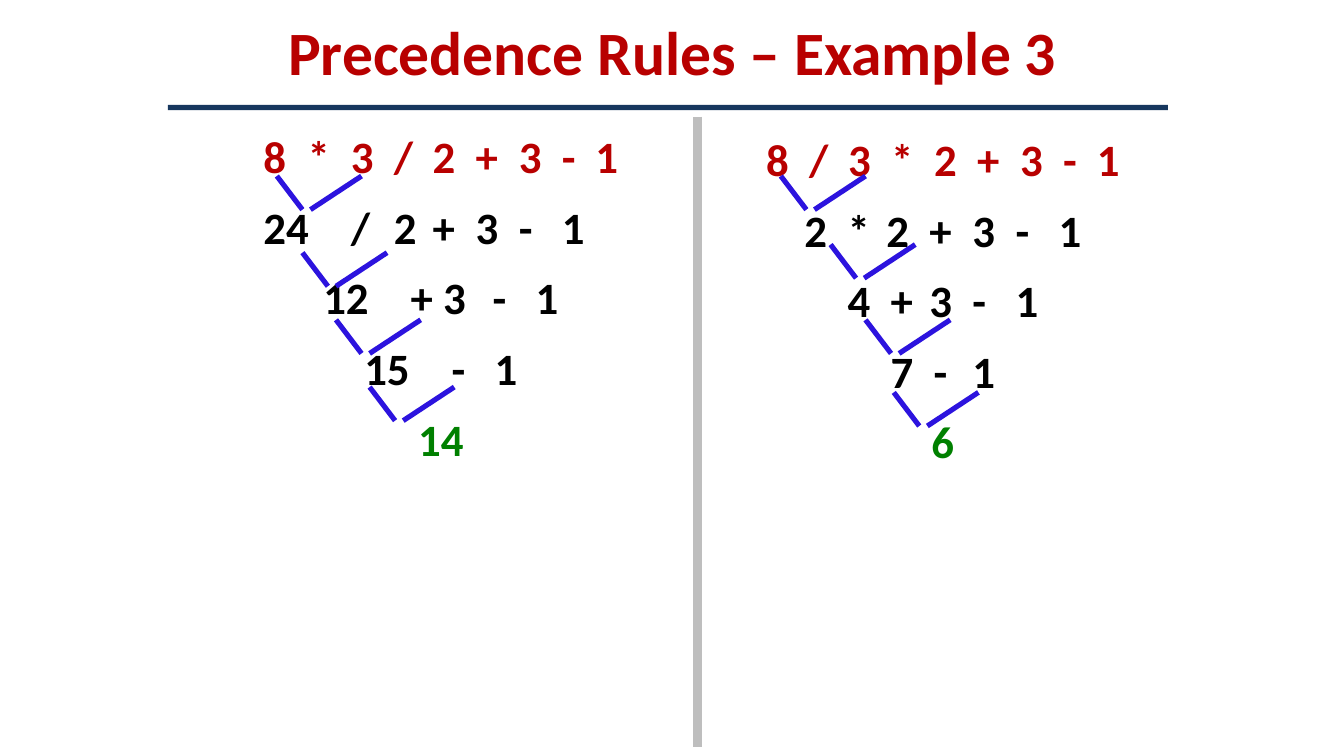
from dataclasses import dataclass

from lxml import etree
from pptx import Presentation
from pptx.dml.color import RGBColor
from pptx.enum.shapes import MSO_CONNECTOR, MSO_SHAPE
from pptx.enum.text import MSO_ANCHOR, MSO_AUTO_SIZE, PP_ALIGN
from pptx.oxml.ns import qn
from pptx.slide import Slide
from pptx.text.text import TextFrame
from pptx.util import Inches, Pt

STRAIGHT = MSO_CONNECTOR.STRAIGHT
RECTANGLE = MSO_SHAPE.RECTANGLE
TOP, MIDDLE = MSO_ANCHOR.TOP, MSO_ANCHOR.MIDDLE
FIT_SHAPE = MSO_AUTO_SIZE.SHAPE_TO_FIT_TEXT
LEFT, CENTER = PP_ALIGN.LEFT, PP_ALIGN.CENTER

RED = RGBColor(0xB8, 0x00, 0x00)
BLACK = RGBColor(0x00, 0x00, 0x00)
GREEN = RGBColor(0x00, 0x80, 0x00)
BLUE = RGBColor(0x2C, 0x13, 0xDE)
NAVY = RGBColor(0x17, 0x37, 0x5E)
GRAY = RGBColor(0xBE, 0xBE, 0xBE)
FONT = "Calibri"


@dataclass(frozen=True)
class Step:
    text: str
    color: RGBColor = BLACK
    align: PP_ALIGN = CENTER


@dataclass(frozen=True)
class Evaluation:
    left: float
    top: float
    inset: float
    margin: float
    tabs: tuple[float, ...]
    steps: tuple[Step, ...]
    joins: tuple[tuple[float, float], ...]


EVALUATIONS = (
    Evaluation(
        1.95, 0.82, 0.14, 0.01,
        (0.33, 0.65, 0.97, 1.26, 1.58, 1.9, 2.22, 2.47),
        (
            Step("8\t*\t3\t/\t2\t+\t3\t-\t1", RED, LEFT),
            Step("24\t/\t2\t+\t3\t-\t1", BLACK, LEFT),
            Step("12\t+ 3\t-\t1"),
            Step("15\t-\t1"),
            Step("14", GREEN),
        ),
        ((2.06, 1.31), (2.25, 1.88), (2.5, 2.38), (2.75, 2.88)),
    ),
    Evaluation(
        5.69, 0.85, 0.13, 0,
        (0.32, 0.61, 0.93, 1.25, 1.57, 1.89, 2.21, 2.46),
        (
            Step("8\t/\t3\t*\t2\t+\t3\t-\t1", RED),
            Step("2\t*\t2\t+\t3\t-\t1"),
            Step("4\t+\t3\t-\t1"),
            Step("7\t-\t1"),
            Step("6", GREEN),
        ),
        ((5.81, 1.31), (6.18, 1.82), (6.44, 2.38), (6.65, 2.92)),
    ),
)


def add_box(slide: Slide, left: float, top: float, width: float, height: float,
            inset: float, anchor: MSO_ANCHOR) -> TextFrame:
    """Add a wrapping text box with only a top inset."""
    box = slide.shapes.add_textbox(Inches(left), Inches(top), Inches(width), Inches(height))
    frame = box.text_frame
    frame.word_wrap = True
    frame.auto_size = FIT_SHAPE
    frame.vertical_anchor = anchor
    frame.margin_left = frame.margin_right = frame.margin_bottom = 0
    frame.margin_top = Inches(inset)
    return frame


def add_para(frame: TextFrame, number: int, step: Step, size: float, before: float,
             margin: float, tabs: tuple[float, ...] = ()) -> None:
    """Write one bold paragraph, with a margin and tab stops when given."""
    para = frame.add_paragraph() if number else frame.paragraphs[0]
    para.alignment = step.align
    para.space_before = Pt(before)
    properties = para._p.get_or_add_pPr()
    if margin:
        properties.set("marL", str(Inches(margin)))
    if tabs:
        stops = etree.SubElement(properties, qn("a:tabLst"))
        for tab in tabs:
            etree.SubElement(stops, qn("a:tab"), pos=str(Inches(tab)), algn="l")
    span = para.add_run()
    span.text = step.text
    span.font.name = FONT
    span.font.size = Pt(size)
    span.font.bold = True
    span.font.color.rgb = step.color


def add_line(slide: Slide, start: tuple[float, float], end: tuple[float, float],
             color: RGBColor, weight: float) -> None:
    """Draw a straight line without a shadow."""
    line = slide.shapes.add_connector(STRAIGHT, *map(Inches, start + end))
    line.line.color.rgb = color
    line.line.width = Pt(weight)
    etree.SubElement(line._element.spPr, qn("a:effectLst"))


def add_join(slide: Slide, left: float, top: float) -> None:
    """Draw the two strokes that join a pair of operands."""
    bottom = top + 0.25
    add_line(slide, (left, top), (left + 0.19, bottom), BLUE, 2.75)
    add_line(slide, (left + 0.63, top), (left + 0.25, bottom), BLUE, 2.75)


def add_evaluation(slide: Slide, evaluation: Evaluation) -> None:
    """Write the steps of one expression and join their operands."""
    frame = add_box(slide, evaluation.left, evaluation.top, 2.65, 2.66, evaluation.inset, TOP)
    for number, step in enumerate(evaluation.steps):
        before = 9 if number else 9.8
        add_para(frame, number, step, 24, before, evaluation.margin, evaluation.tabs)
    for left, top in evaluation.joins:
        add_join(slide, left, top)


def add_rule(slide: Slide) -> None:
    """Draw the bar under the title."""
    rule = slide.shapes.add_shape(RECTANGLE, Inches(1.25), Inches(0.78), Inches(7.44), Inches(0.04))
    rule.shadow.inherit = False
    rule.fill.solid()
    rule.fill.fore_color.rgb = NAVY
    rule.line.fill.background()


def main() -> None:
    """Build the slide and save the deck."""
    deck = Presentation()
    deck.slide_width, deck.slide_height = Inches(10), Inches(10 * 9 / 16)
    page = deck.slides.add_slide(deck.slide_layouts[6])
    title = add_box(page, 1.81, 0.09, 6.38, 0.57, 0.01, MIDDLE)
    add_para(title, 0, Step("Precedence Rules – Example 3", RED), 33, 0.8, 0.01)
    add_rule(page)
    add_line(page, (5.19, 0.87), (5.19, 5.56), GRAY, 5.04)
    for evaluation in EVALUATIONS:
        add_evaluation(page, evaluation)
    deck.save("out.pptx")


if __name__ == "__main__":
    main()
